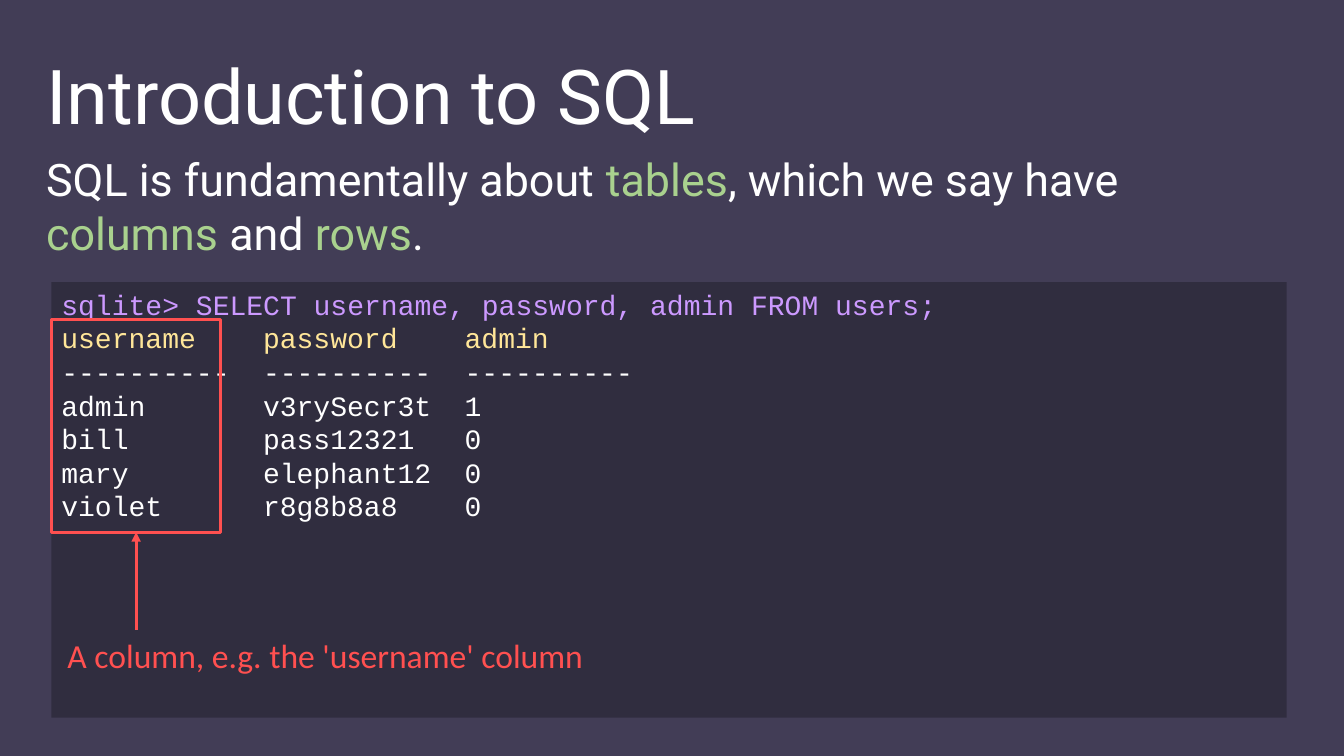
from dataclasses import dataclass

from lxml.etree import SubElement as Sub
from pptx import Presentation as Deck
from pptx.dml.color import RGBColor as Rgb
from pptx.enum.shapes import MSO_CONNECTOR as Link, MSO_SHAPE as Form
from pptx.enum.text import MSO_ANCHOR as Anchor, MSO_AUTO_SIZE as Fit, PP_ALIGN as Align
from pptx.oxml.ns import qn
from pptx.shapes.autoshape import Shape
from pptx.slide import Slide
from pptx.text.text import TextFrame as Frame
from pptx.util import Inches, Pt

WIDE, HIGH = Inches(13.33), Inches(7.5)
TAB = Inches(2)
HUES = {
    "back": "423D56",
    "panel": "302D3F",
    "white": "FFFFFF",
    "green": "A9D18E",
    "violet": "CC99FF",
    "yellow": "FFE699",
    "red": "FF5050",
}


@dataclass(frozen=True)
class Box:
    """Left, top, width and height as percentages of the slide."""
    x: float
    y: float
    w: float
    h: float

    def emu(self) -> tuple[int, int, int, int]:
        return across(self.x), down(self.y), across(self.w), down(self.h)


@dataclass(frozen=True)
class Part:
    text: str
    hue: str = "white"


@dataclass(frozen=True)
class Block:
    box: Box
    lines: list[list[Part]]
    font: str
    size: int
    wrap: bool = True


def across(share: float) -> int:
    return round(WIDE * share / 100)


def down(share: float) -> int:
    return round(HIGH * share / 100)


def tint(name: str) -> Rgb:
    return Rgb.from_string(HUES[name])


def write(frame: Frame, block: Block) -> None:
    frame.word_wrap = block.wrap
    frame.vertical_anchor = Anchor.TOP
    for row, parts in enumerate(block.lines):
        para = frame.paragraphs[0] if row == 0 else frame.add_paragraph()
        para.alignment = Align.LEFT
        for part in parts:
            run = para.add_run()
            run.text = part.text
            run.font.name = block.font
            run.font.size = Pt(block.size)
            run.font.color.rgb = tint(part.hue)


def set_tabs(frame: Frame, count: int) -> None:
    for para in frame.paragraphs:
        tabs = Sub(para._p.get_or_add_pPr(), qn("a:tabLst"))
        for stop in range(1, count + 1):
            Sub(tabs, qn("a:tab"), pos=str(TAB * stop), algn="l")


def add_text(slide: Slide, block: Block) -> None:
    frame = slide.shapes.add_textbox(*block.box.emu()).text_frame
    write(frame, block)
    frame.auto_size = Fit.SHAPE_TO_FIT_TEXT


def add_rect(slide: Slide, box: Box) -> Shape:
    rect = slide.shapes.add_shape(Form.RECTANGLE, *box.emu())
    rect.shadow.inherit = False
    return rect


def add_panel(slide: Slide, block: Block) -> None:
    panel = add_rect(slide, block.box)
    panel.fill.solid()
    panel.fill.fore_color.rgb = tint("panel")
    panel.line.fill.background()
    write(panel.text_frame, block)
    set_tabs(panel.text_frame, 2)


def add_ring(slide: Slide, box: Box) -> Shape:
    ring = add_rect(slide, box)
    ring.fill.background()
    ring.line.color.rgb = tint("red")
    ring.line.width = Pt(2.25)
    return ring


def add_arrow(slide: Slide, ring: Shape, start: int) -> None:
    mid = ring.left + ring.width // 2
    arrow = slide.shapes.add_connector(
        Link.STRAIGHT, mid, start, mid, ring.top + ring.height)
    arrow.end_connect(ring, 2)
    arrow.line.color.rgb = tint("red")
    arrow.line.width = Pt(2.25)
    Sub(arrow.line._get_or_add_ln(), qn("a:tailEnd"), type="triangle")
    Sub(arrow._element.spPr, qn("a:effectLst"))


TITLE = Block(Box(2.7, 5.87, 93.7, 13.6), [[Part("Introduction to SQL")]], "Roboto", 54)
INTRO = Block(Box(2.7, 19.47, 94.5, 15.73), [[
    Part("SQL is fundamentally about "),
    Part("tables", "green"),
    Part(", which we say have "),
    Part("columns ", "green"),
    Part("and "),
    Part("rows", "green"),
    Part("."),
]], "Roboto", 32)
QUERY = Part("sqlite> SELECT username, password, admin FROM users;", "violet")
HEADS = ("username", "password", "admin")
USERS = [
    ("-" * 10,) * 3,
    ("admin", "v3rySecr3t", "1"),
    ("bill", "pass12321", "0"),
    ("mary", "elephant12", "0"),
    ("violet", "r8g8b8a8", "0"),
]
SHELL = Block(
    Box(3.83, 37.33, 91.9, 57.6),
    [[QUERY], [Part("\t".join(HEADS), "yellow")]]
    + [[Part("\t".join(user))] for user in USERS],
    "Courier New", 20)
RING = Box(3.83, 42.27, 12.6, 28.13)
NOTE = Block(Box(4.28, 83.33, 40.2, 6.67),
             [[Part("A column, e.g. the 'username' column", "red")]],
             "Calibri", 24, wrap=False)


def main() -> None:
    deck = Deck()
    deck.slide_width, deck.slide_height = WIDE, HIGH
    slide = deck.slides.add_slide(deck.slide_layouts[6])
    slide.background.fill.solid()
    slide.background.fill.fore_color.rgb = tint("back")
    add_text(slide, INTRO)
    add_text(slide, TITLE)
    add_panel(slide, SHELL)
    ring = add_ring(slide, RING)
    add_text(slide, NOTE)
    add_arrow(slide, ring, down(NOTE.box.y))
    deck.save("out.pptx")


if __name__ == "__main__":
    main()
